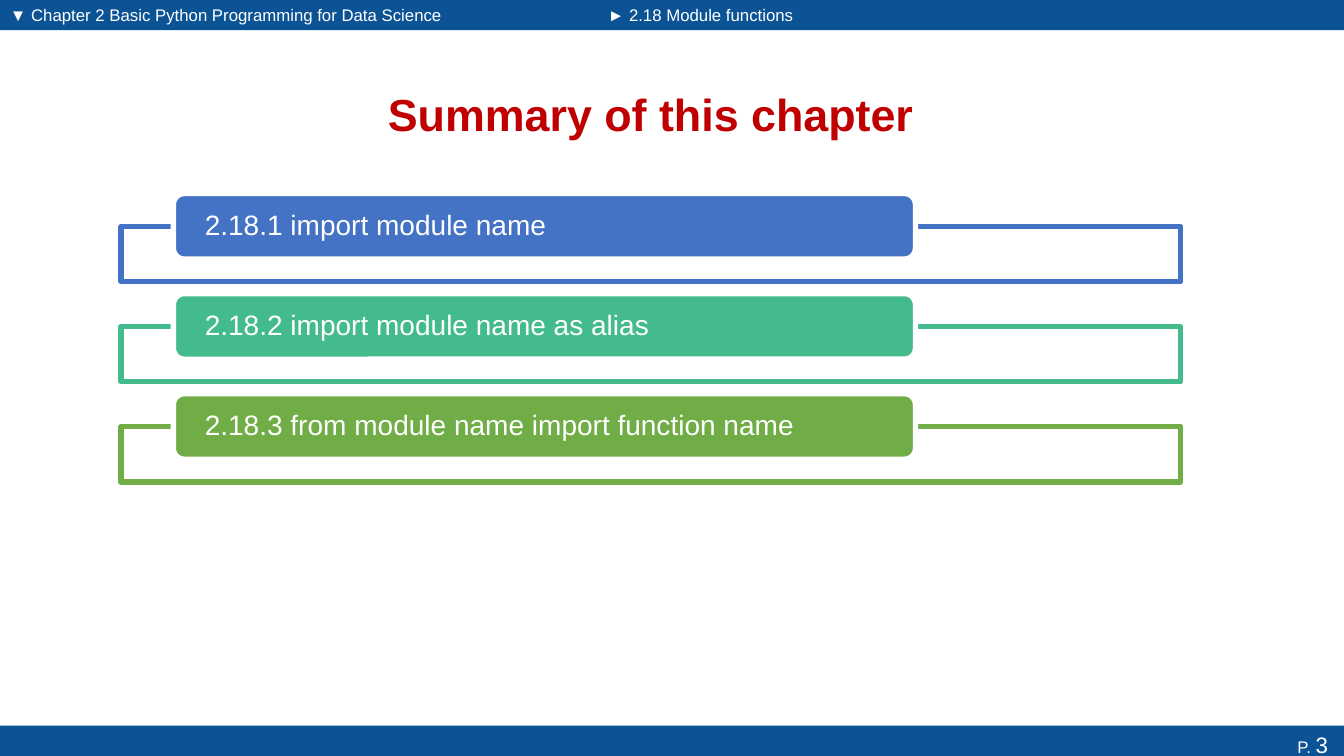
from pptx import Presentation
from pptx import util as u
from pptx.dml.color import RGBColor
from pptx.enum import shapes, text

WHITE = RGBColor(0xFF, 0xFF, 0xFF)
NAVY = RGBColor(0x0B, 0x53, 0x94)
RED = RGBColor(0xC0, 0x00, 0x00)
BLUE = RGBColor(0x44, 0x72, 0xC4)
TEAL = RGBColor(0x43, 0xBB, 0x8D)
GREEN = RGBColor(0x70, 0xAD, 0x47)

# Square grid of 75 rows; every position below counts grid cells.
ROWS = 75
COLUMNS = 133.33
HEADER_SPLIT = 59.3
HEADER_HEIGHT = 3
FOOTER_TOP = 72
FIRST_TOPIC = 19.2
TOPIC_PITCH = 9.93
FRAME_DROP = 3.25

deck = Presentation()
deck.slide_width = u.Inches(13.33)
deck.slide_height = u.Inches(7.5)
CELL = deck.slide_height / ROWS
page = deck.slides.add_slide(deck.slide_layouts[6])


def add_box(kind, left, top, width, height, fill, line=None):
    """Add a flat shape, placed in grid cells; without a fill it is a text box."""
    place = [round(cells * CELL) for cells in (left, top, width, height)]
    if fill is None:
        box = page.shapes.add_textbox(*place)
    else:
        box = page.shapes.add_shape(kind, *place)
        box.shadow.inherit = False
        box.fill.solid()
        box.fill.fore_color.rgb = fill
        if line is None:
            box.line.fill.background()
        else:
            box.line.color.rgb = line
            box.line.width = u.Pt(3.78)
    box.text_frame.word_wrap = True
    return box


def write(box, words, size, color=WHITE, align=text.PP_ALIGN.LEFT,
          anchor=text.MSO_ANCHOR.TOP):
    box.text_frame.text = words
    box.text_frame.vertical_anchor = anchor
    para = box.text_frame.paragraphs[0]
    para.alignment = align
    span = para.runs[0]
    span.font.name = "Arial"
    span.font.size = u.Pt(size)
    span.font.color.rgb = color
    return para


RECT = shapes.MSO_SHAPE.RECTANGLE
ROUNDED = shapes.MSO_SHAPE.ROUNDED_RECTANGLE

# Header: one bar and one label for each level of the outline
headings = [
    (0, HEADER_SPLIT, "▼ Chapter 2 Basic Python Programming for Data Science"),
    (HEADER_SPLIT, COLUMNS - HEADER_SPLIT, "► 2.18 Module functions"),
]
for left, width, heading in headings:
    add_box(RECT, left, 0, width, HEADER_HEIGHT, NAVY)
    label = add_box(None, left, 0, width, HEADER_HEIGHT, None)
    write(label, heading, 12)

# Footer with the page number
footer = add_box(RECT, 0, FOOTER_TOP, COLUMNS, 3.7, NAVY)
para = write(footer, "P. ", 12, align=text.PP_ALIGN.RIGHT)
number = para.add_run()
number.text = "3 "
number.font.name = "Arial"
number.font.size = u.Pt(16)
number.font.color.rgb = WHITE

title = add_box(None, 25.1, 6.8, 78.9, 9, None)
para = write(title, "Summary of this chapter", 32, RED,
             text.PP_ALIGN.CENTER, text.MSO_ANCHOR.MIDDLE)
para.runs[0].font.bold = True

# Topics: a wide frame behind a rounded label, repeated down the page
topics = [
    ("2.18.1 import module name", BLUE),
    ("2.18.2 import module name as alias", TEAL),
    ("2.18.3 from module name import function name", GREEN),
]
for row, (topic, color) in enumerate(topics):
    top = FIRST_TOPIC + row * TOPIC_PITCH
    add_box(RECT, 12, top + FRAME_DROP, 105.1, 5.5, WHITE, color)
    label = add_box(ROUNDED, 17.2, top, 73.6, 6.5, color, WHITE)
    frame = label.text_frame
    frame.margin_left = frame.margin_right = u.Inches(0.28)
    frame.margin_top = frame.margin_bottom = 0
    para = write(label, topic, 20, anchor=text.MSO_ANCHOR.MIDDLE)
    para.line_spacing = 0.9

deck.save("out.pptx")
